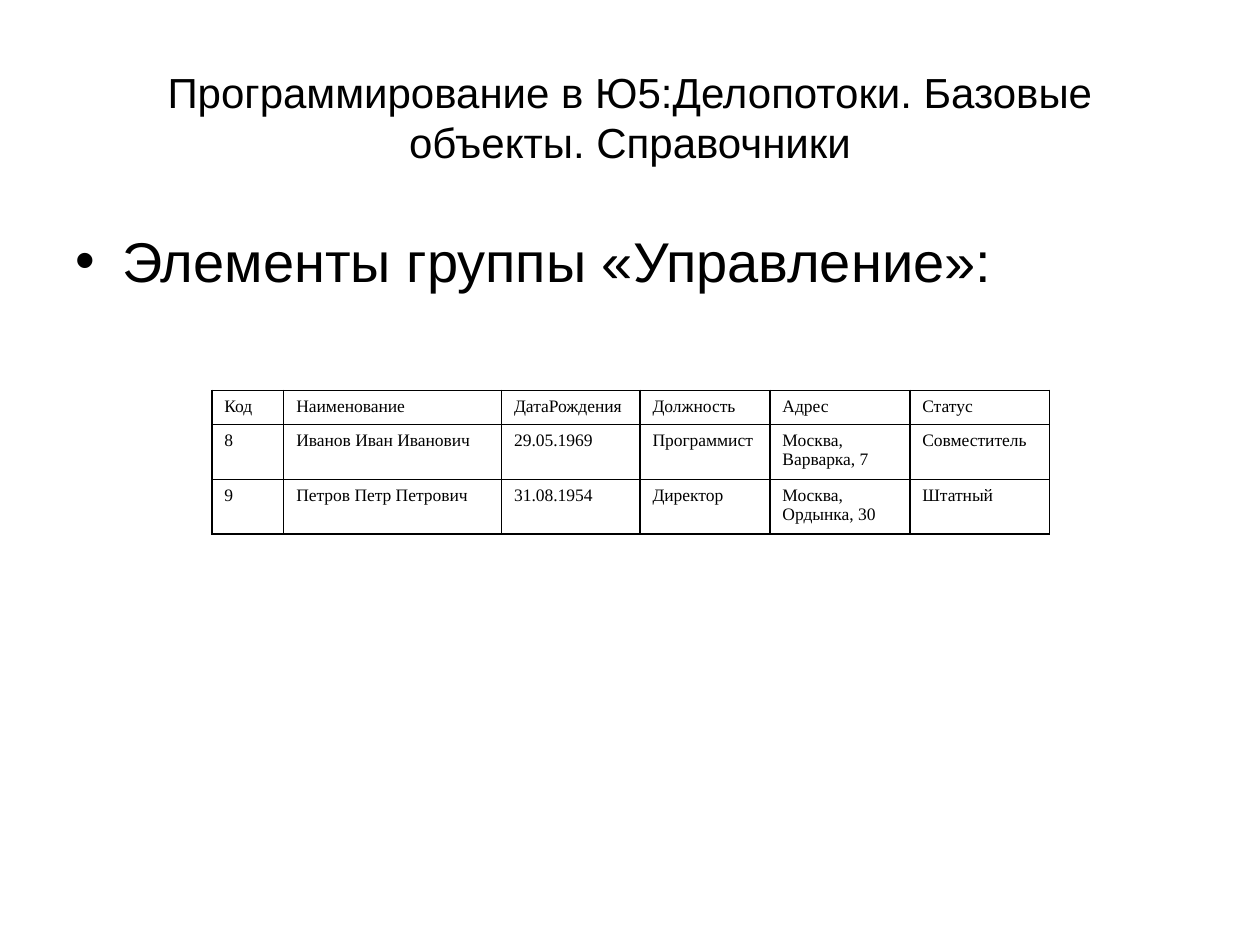
from dataclasses import dataclass

from lxml.etree import SubElement
from pptx import Presentation
from pptx.dml.color import RGBColor
from pptx.enum.text import MSO_ANCHOR, MSO_AUTO_SIZE, PP_ALIGN
from pptx.oxml.ns import qn
from pptx.util import Cm, Pt

COLORS = {"text": "000000", "border": "000000"}
HEADING_FONT = "Arial"
TABLE_FONT = "Times New Roman"


@dataclass
class Column:
    heading: str
    width: float
    values: tuple[str, ...]


COLUMNS = [
    Column("Код", 1.45, ("8", "9")),
    Column("Наименование", 4.39, ("Иванов Иван Иванович", "Петров Петр Петрович")),
    Column("ДатаРождения", 2.79, ("29.05.1969", "31.08.1954")),
    Column("Должность", 2.62, ("Программист", "Директор")),
    Column("Адрес", 2.82, ("Москва, Варварка, 7", "Москва, Ордынка, 30")),
    Column("Статус", 2.82, ("Совместитель", "Штатный")),
]
ROW_HEIGHTS = (0.69, 1.03, 1.03)


def format_paragraph(para, font: str, size: float, align: PP_ALIGN) -> None:
    para.alignment = align
    for span in para.runs:
        span.font.name = font
        span.font.size = Pt(size)
        span.font.color.rgb = RGBColor.from_string(COLORS["text"])


def add_bullet(para, indent: float) -> None:
    properties = para._p.get_or_add_pPr()
    properties.set("marL", str(Cm(indent)))
    properties.set("indent", str(-Cm(indent)))
    SubElement(properties, qn("a:buFont"), typeface=HEADING_FONT)
    SubElement(properties, qn("a:buChar"), char="•")


def add_borders(cell, width: float) -> None:
    properties = cell._tc.get_or_add_tcPr()
    for position, side in enumerate(("lnL", "lnR", "lnT", "lnB")):
        line = properties.makeelement(qn(f"a:{side}"), {"w": str(Pt(width))})
        fill = SubElement(line, qn("a:solidFill"))
        SubElement(fill, qn("a:srgbClr"), val=COLORS["border"])
        properties.insert(position, line)


def add_title(page, text: str) -> None:
    title = page.shapes.title
    title.left, title.top, title.width, title.height = Cm(1.27), Cm(0.76), Cm(22.86), Cm(3.18)
    frame = title.text_frame
    frame.text = text
    frame.auto_size = MSO_AUTO_SIZE.NONE
    frame.vertical_anchor = MSO_ANCHOR.MIDDLE
    format_paragraph(frame.paragraphs[0], HEADING_FONT, 24, PP_ALIGN.CENTER)


def add_body(page, text: str) -> None:
    box = page.shapes.add_textbox(Cm(1.27), Cm(4.45), Cm(22.86), Cm(12.57))
    frame = box.text_frame
    frame.word_wrap = True
    frame.text = text
    para = frame.paragraphs[0]
    add_bullet(para, 0.95)
    format_paragraph(para, HEADING_FONT, 32, PP_ALIGN.LEFT)


def add_directory_table(page, left: float, top: float) -> None:
    total_width = sum(column.width for column in COLUMNS)
    table = page.shapes.add_table(
        len(ROW_HEIGHTS), len(COLUMNS), Cm(left), Cm(top), Cm(total_width), Cm(sum(ROW_HEIGHTS))
    ).table
    table.first_row = False
    table.horz_banding = False
    for row, height in zip(table.rows, ROW_HEIGHTS):
        row.height = Cm(height)
    for column_index, column in enumerate(COLUMNS):
        table.columns[column_index].width = Cm(column.width)
        for row_index, text in enumerate((column.heading, *column.values)):
            cell = table.cell(row_index, column_index)
            cell.text_frame.text = text
            cell.fill.background()
            add_borders(cell, 1)
            format_paragraph(cell.text_frame.paragraphs[0], TABLE_FONT, 10, PP_ALIGN.JUSTIFY)


def main() -> None:
    deck = Presentation()
    deck.slide_width, deck.slide_height = Cm(25.4), Cm(19.05)
    page = deck.slides.add_slide(deck.slide_layouts[5])

    # Heading and bullet
    add_title(page, "Программирование в Ю5:Делопотоки. Базовые объекты. Справочники")
    add_body(page, "Элементы группы «Управление»:")

    # Employees of the group
    add_directory_table(page, 4.27, 7.87)

    deck.save("out.pptx")


if __name__ == "__main__":
    main()
